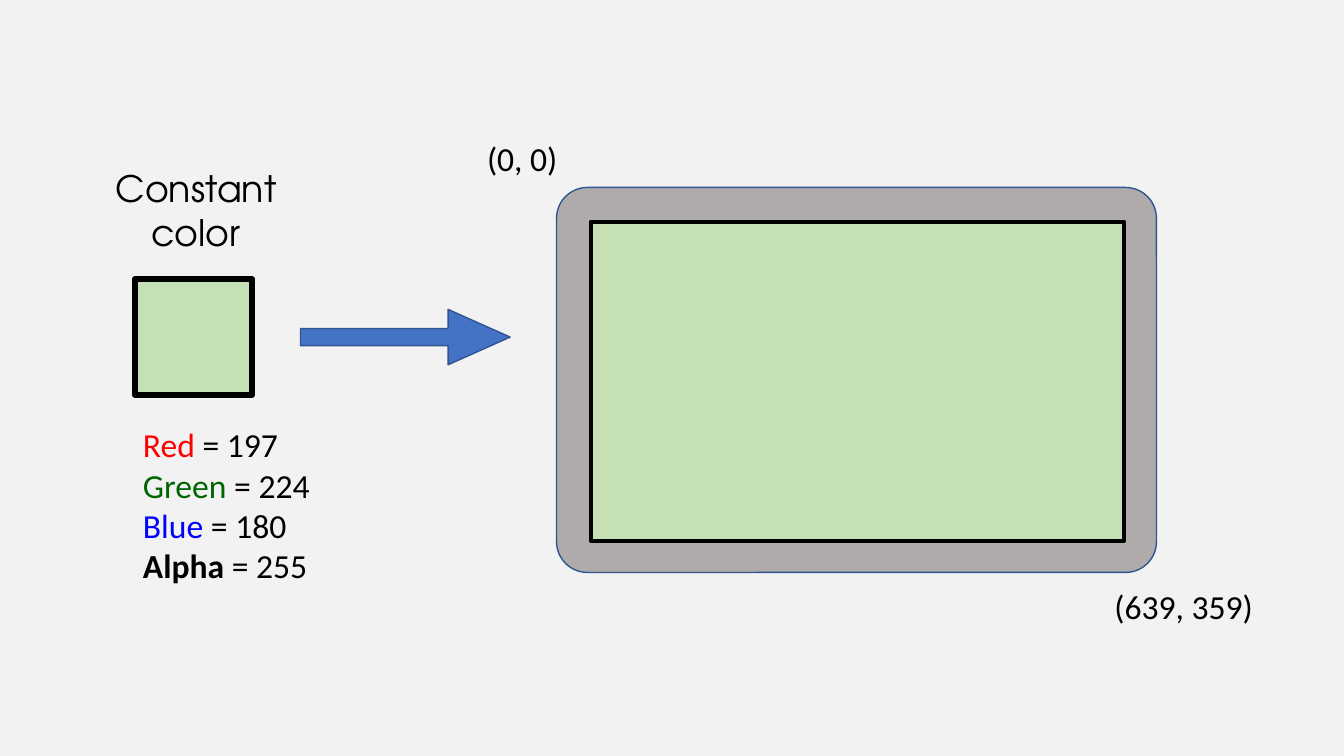
"""Slide: a constant colour fills a 640 by 360 screen."""
from dataclasses import dataclass

from pptx import Presentation
from pptx import util as u
from pptx.dml.color import RGBColor
from pptx.enum import shapes, text
from pptx.slide import Slide

SLIDE_WIDTH, SLIDE_HEIGHT = u.Inches(13.33), u.Inches(7.5)


@dataclass(frozen=True)
class Theme:
    background: str = "F2F2F2"
    ink: str = "000000"
    sample: str = "C5E0B4"
    bezel: str = "AFABAB"
    arrow: str = "4472C4"
    outline: str = "325491"
    red: str = "FF0000"
    green: str = "006600"
    blue: str = "0000FF"
    body_font: str = "Calibri"
    caption_font: str = "TeX Gyre Adventor"
    body_size: int = 24
    caption_size: int = 26


THEME = Theme()


@dataclass(frozen=True)
class Area:
    """Left, top, width and height in percent of the slide's size."""
    left: float
    top: float
    width: float
    height: float

    def lengths(self) -> tuple[int, int, int, int]:
        return (round(SLIDE_WIDTH * self.left / 100), round(SLIDE_HEIGHT * self.top / 100),
                round(SLIDE_WIDTH * self.width / 100), round(SLIDE_HEIGHT * self.height / 100))


@dataclass(frozen=True)
class Figure:
    kind: shapes.MSO_SHAPE
    area: Area
    fill: str
    line: str
    line_width: float
    adjustments: tuple[float, ...] = ()


@dataclass(frozen=True)
class Span:
    words: str
    color: str = THEME.ink
    bold: bool = False


@dataclass(frozen=True)
class Label:
    area: Area
    lines: tuple[tuple[Span, ...], ...]
    font: str = THEME.body_font
    size: int = THEME.body_size
    align: text.PP_ALIGN = text.PP_ALIGN.CENTER


# Shapes, from back to front
FIGURES = (
    Figure(shapes.MSO_SHAPE.ROUNDED_RECTANGLE, Area(41.41, 24.8, 44.64, 50.93),
           THEME.bezel, THEME.outline, 1, (0.08,)),
    Figure(shapes.MSO_SHAPE.RECTANGLE, Area(10.05, 36.93, 8.7, 15.33),
           THEME.sample, THEME.ink, 4.5),
    Figure(shapes.MSO_SHAPE.RIGHT_ARROW, Area(22.36, 40.93, 15.6, 7.33),
           THEME.arrow, THEME.outline, 1, (0.31, 1.12)),
    Figure(shapes.MSO_SHAPE.RECTANGLE, Area(43.96, 29.33, 39.68, 42.27),
           THEME.sample, THEME.ink, 3),
)

# Colour channels and their values
CHANNELS = (
    (Span("Red", THEME.red), 197),
    (Span("Green", THEME.green), 224),
    (Span("Blue", THEME.blue), 180),
    (Span("Alpha", bold=True), 255),
)

# Corner coordinates, caption and channel list
LABELS = (
    Label(Area(35.33, 17.6, 7.05, 6.67), ((Span("(0, 0)"),),)),
    Label(Area(81.32, 76.8, 13.5, 6.67), ((Span("(639, 359)"),),)),
    Label(Area(5.93, 21.33, 17.33, 13.07), ((Span("Constant"),), (Span("color"),)),
          THEME.caption_font, THEME.caption_size),
    Label(Area(9.9, 55.47, 21.6, 22.93),
          tuple((name, Span(f" = {value}")) for name, value in CHANNELS),
          align=text.PP_ALIGN.LEFT),
)


def set_all(target: object, values: dict[str, object]) -> None:
    for name, value in values.items():
        setattr(target, name, value)


def draw_figure(page: Slide, figure: Figure) -> None:
    shape = page.shapes.add_shape(figure.kind, *figure.area.lengths())
    shape.shadow.inherit = False
    shape.fill.solid()
    shape.fill.fore_color.rgb = RGBColor.from_string(figure.fill)
    shape.line.color.rgb = RGBColor.from_string(figure.line)
    shape.line.width = u.Pt(figure.line_width)
    for index, value in enumerate(figure.adjustments):
        shape.adjustments[index] = value


def draw_label(page: Slide, label: Label) -> None:
    box = page.shapes.add_textbox(*label.area.lengths())
    frame = box.text_frame
    set_all(frame, {"word_wrap": True, "auto_size": text.MSO_AUTO_SIZE.SHAPE_TO_FIT_TEXT})
    for index, line in enumerate(label.lines):
        para = frame.add_paragraph() if index else frame.paragraphs[0]
        para.alignment = label.align
        for span in line:
            run = para.add_run()
            run.text = span.words
            set_all(run.font, {"name": label.font, "size": u.Pt(label.size), "bold": span.bold})
            run.font.color.rgb = RGBColor.from_string(span.color)


def main() -> None:
    deck = Presentation()
    set_all(deck, {"slide_width": SLIDE_WIDTH, "slide_height": SLIDE_HEIGHT})
    page = deck.slides.add_slide(deck.slide_layouts[6])
    page.background.fill.solid()
    page.background.fill.fore_color.rgb = RGBColor.from_string(THEME.background)
    for figure in FIGURES:
        draw_figure(page, figure)
    for label in LABELS:
        draw_label(page, label)
    deck.save("out.pptx")


if __name__ == "__main__":
    main()
